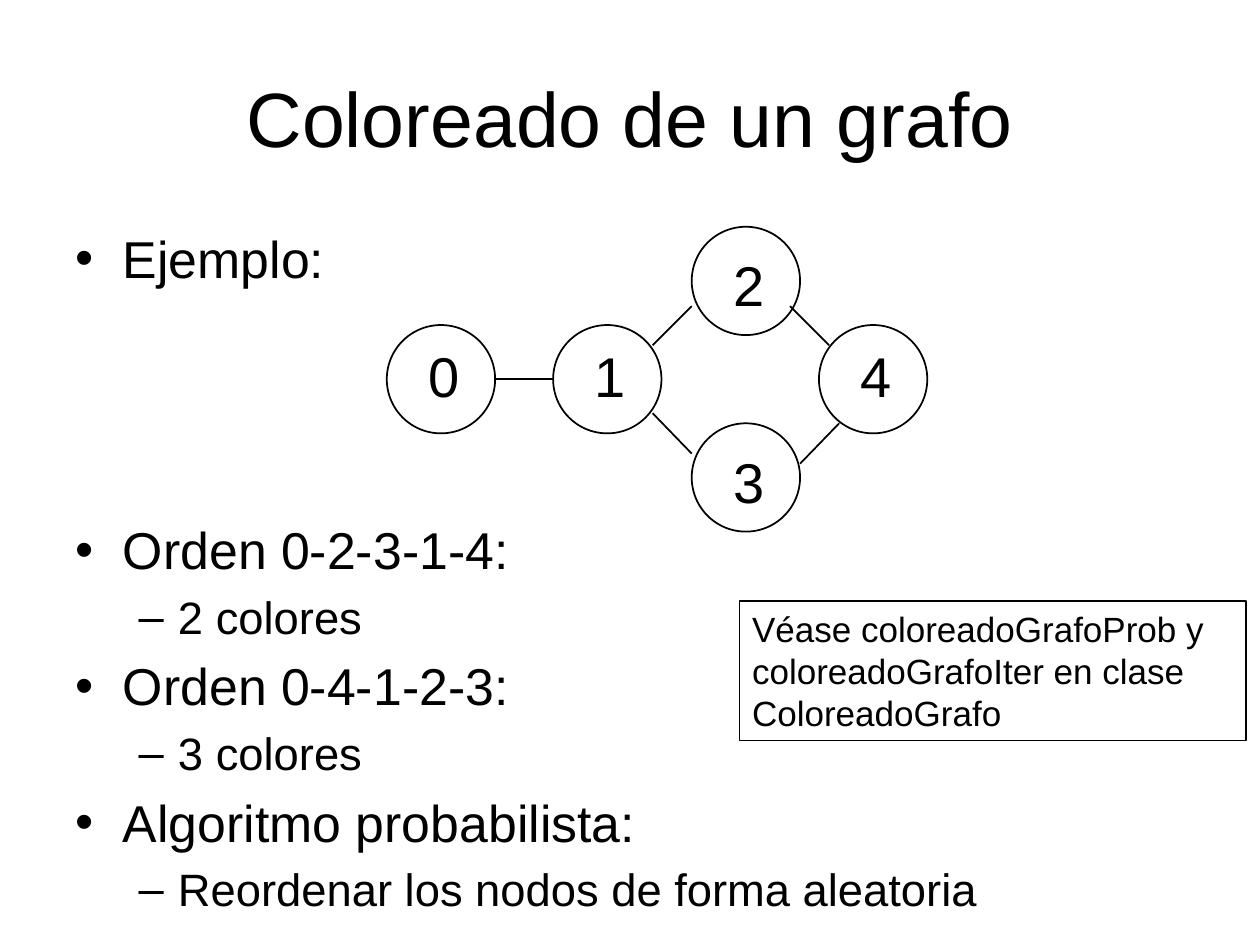
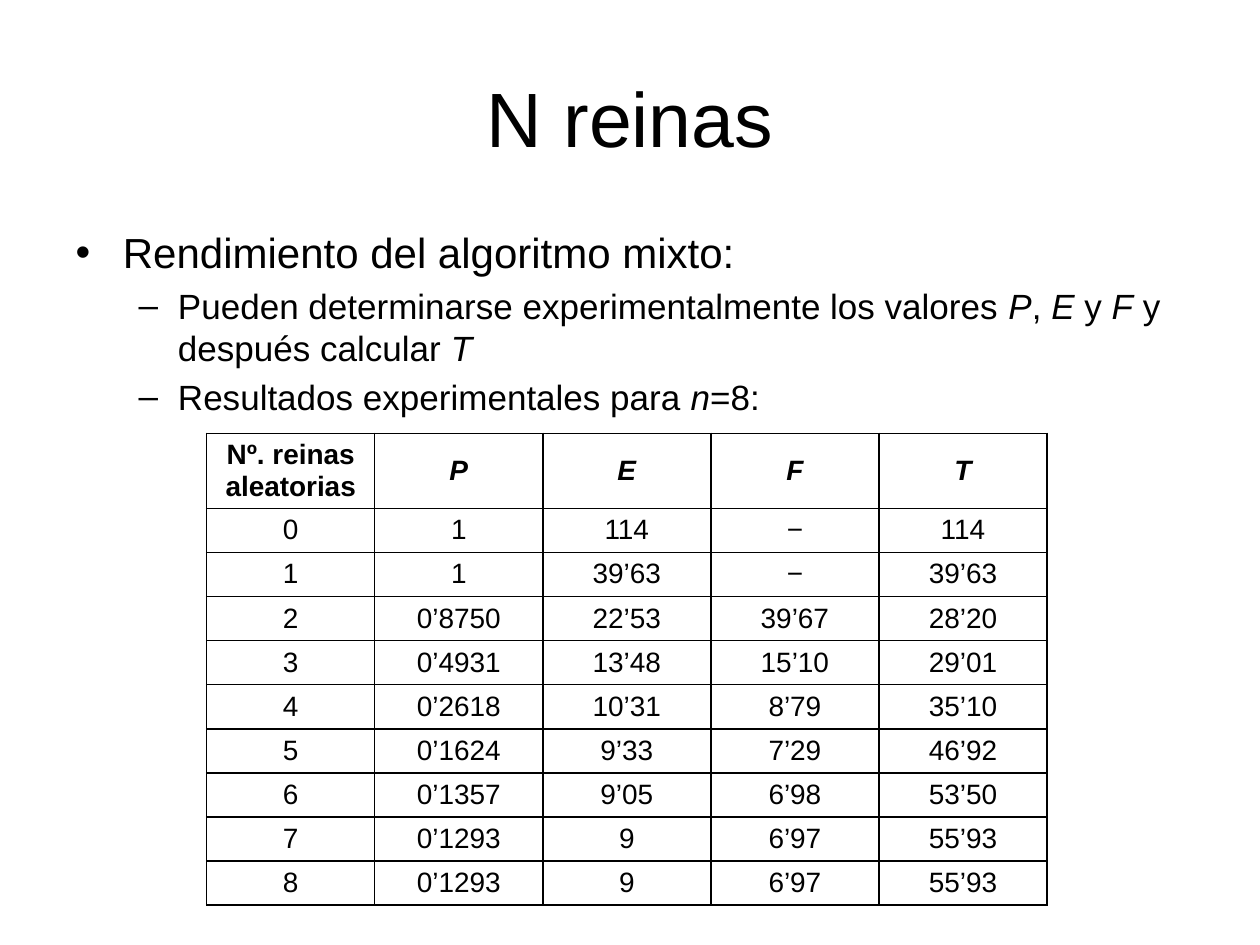
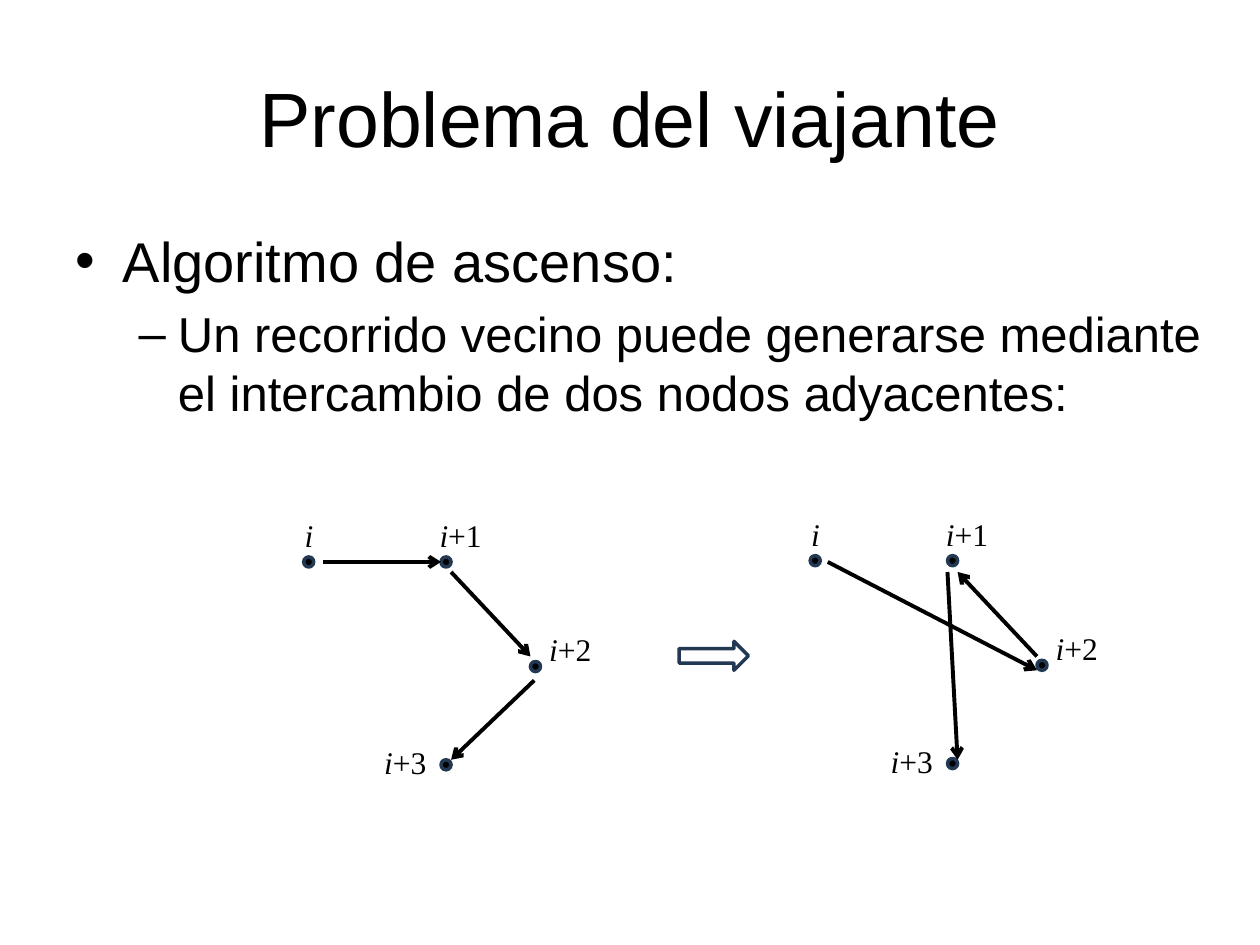
from dataclasses import dataclass

from lxml import etree
from pptx import Presentation
from pptx.dml.color import RGBColor
from pptx.enum import shapes as sh, text as tx
from pptx.oxml import ns
from pptx.util import Inches, Pt


@dataclass(frozen=True)
class Theme:
    ink: str = "000000"
    paper: str = "FFFFFF"
    rim: str = "233953"
    sans: str = "Arial"
    serif: str = "Times New Roman"
    title: float = 44
    node: float = 32
    note: float = 20
    cell: float = 16
    label: float = 18


THEME = Theme()


def rgb(code):
    return RGBColor.from_string(code)


def add_xml(parent, tag, **attrs):
    return etree.SubElement(parent, ns.qn(tag), attrs)


def write(para, text, size, font=THEME.sans, color=THEME.ink, bold=False, align=None):
    """Fill a paragraph; words between asterisks are italic."""
    para.alignment = align
    for i, part in enumerate(text.split("*")):
        if part:
            run = para.add_run()
            run.text = part
            run.font.size, run.font.name = Pt(size), font
            run.font.bold, run.font.italic = bold, i % 2 == 1
            run.font.color.rgb = rgb(color)


class Deck:
    def __init__(self, theme):
        self.theme = theme
        self.prs = Presentation()
        self.prs.slide_width, self.prs.slide_height = Inches(10), Inches(7.5)
        self.slide = None

    def place(self, item, x, y, w, h):
        item.left, item.top = Inches(x), Inches(y)
        item.width, item.height = Inches(w), Inches(h)

    def page(self, title, items, sizes, width=9, height=4.95):
        """Start a slide; items are (level, text, space before or None)."""
        self.slide = self.prs.slides.add_slide(self.prs.slide_layouts[1])
        head, body = self.slide.placeholders
        self.place(head, 0.5, 0.3, 9, 1.25)
        write(head.text_frame.paragraphs[0], title, self.theme.title,
              align=tx.PP_ALIGN.CENTER)
        self.place(body, 0.5, 1.75, width, height)
        frame = body.text_frame
        frame.auto_size = tx.MSO_AUTO_SIZE.NONE
        for i, (level, text, gap) in enumerate(items):
            para = frame.add_paragraph() if i else frame.paragraphs[0]
            para.level = level
            if gap is not None:
                para.space_before = Pt(gap)
            write(para, text, sizes[level])

    def shape(self, kind, x, y, w, h, fill=None, line=THEME.ink, weight=1):
        item = self.slide.shapes.add_shape(
            kind, Inches(x), Inches(y), Inches(w), Inches(h))
        item.shadow.inherit = False
        if fill:
            item.fill.solid()
            item.fill.fore_color.rgb = rgb(fill)
        else:
            item.fill.background()
        item.line.color.rgb, item.line.width = rgb(line), Pt(weight)
        return item

    def label(self, text, x, y, w, h, size, font=THEME.sans):
        box = self.slide.shapes.add_textbox(
            Inches(x), Inches(y), Inches(w), Inches(h))
        box.text_frame.word_wrap = True
        write(box.text_frame.paragraphs[0], text, size, font)

    def note(self, text, x, y, w, h):
        box = self.shape(sh.MSO_SHAPE.RECTANGLE, x, y, w, h, weight=0.75)
        frame = box.text_frame
        frame.word_wrap, frame.vertical_anchor = True, tx.MSO_ANCHOR.TOP
        write(frame.paragraphs[0], text, self.theme.note, align=tx.PP_ALIGN.LEFT)

    def line(self, start, end, weight=1, arrow=False):
        ends = [Inches(v) for v in (*start, *end)]
        item = self.slide.shapes.add_connector(sh.MSO_CONNECTOR.STRAIGHT, *ends)
        item.line.color.rgb, item.line.width = rgb(self.theme.ink), Pt(weight)
        props = item.element.spPr
        if arrow:
            add_xml(props.find(ns.qn("a:ln")), "a:tailEnd", type="arrow")
        add_xml(props, "a:effectLst")

    def table(self, rows, x, y, w, head, step):
        high = head + step * (len(rows) - 1)
        grid = self.slide.shapes.add_table(
            len(rows), len(rows[0]), Inches(x), Inches(y), Inches(w), Inches(high)).table
        grid.first_row = grid.horz_banding = False
        for r, row in enumerate(rows):
            grid.rows[r].height = Inches(step if r else head)
            for c, text in enumerate(row):
                cell = grid.cell(r, c)
                write(cell.text_frame.paragraphs[0], text, self.theme.cell,
                      bold=r == 0, align=tx.PP_ALIGN.CENTER)
                if r == 0 and c:
                    cell.vertical_anchor = tx.MSO_ANCHOR.MIDDLE
                self.border(cell)
                cell.fill.background()

    def border(self, cell):
        props = cell._tc.get_or_add_tcPr()
        for side in "LRTB":
            edge = add_xml(props, f"a:ln{side}", w=str(Pt(1)))
            add_xml(add_xml(edge, "a:solidFill"), "a:srgbClr", val=self.theme.ink)


def graph(deck):
    deck.page("Coloreado de un grafo", [
        (0, "Ejemplo:", 0),
        (0, "Orden 0-2-3-1-4:", 131),
        (1, "2 colores", None),
        (0, "Orden 0-4-1-2-3:", None),
        (1, "3 colores", None),
        (0, "Algoritmo probabilista:", None),
        (1, "Reordenar los nodos de forma aleatoria", None),
    ], (29.6, 25.9))
    # Nodes: name, left, top, drop of the number
    for name, x, y, drop in (("0", 3.07, 2.58, 0.08), ("1", 4.39, 2.58, 0.08),
                             ("2", 5.49, 1.8, 0.14), ("3", 5.49, 3.36, 0.14),
                             ("4", 6.5, 2.58, 0.08)):
        deck.shape(sh.MSO_SHAPE.OVAL, x, y, 0.86, 0.86)
        deck.label(name, x + 0.23, y + drop, 0.7, 0.64, deck.theme.node)
    # Edges
    for start, end in (((3.93, 3.01), (4.39, 3.01)), ((5.18, 3.28), (5.49, 3.6)),
                       ((6.27, 2.43), (6.58, 2.74)), ((5.18, 2.74), (5.49, 2.43)),
                       ((6.35, 3.68), (6.66, 3.36))):
        deck.line(start, end)
    deck.note("Véase coloreadoGrafoProb y coloreadoGrafoIter en clase ColoreadoGrafo",
              5.87, 4.77, 4.02, 1.11)


def queens(deck):
    deck.page("N reinas", [
        (0, "Rendimiento del algoritmo mixto:", 0),
        (1, "Pueden determinarse experimentalmente los valores *P*, *E* y *F* "
            "y después calcular *T*", None),
        (1, "Resultados experimentales para *n*=8:", None),
    ], (24, 20), height=5.75)
    deck.table([
        ("Nº. reinas aleatorias", "*P*", "*E*", "*F*", "*T*"),
        ("0", "1", "114", "−", "114"),
        ("1", "1", "39’63", "−", "39’63"),
        ("2", "0’8750", "22’53", "39’67", "28’20"),
        ("3", "0’4931", "13’48", "15’10", "29’01"),
        ("4", "0’2618", "10’31", "8’79", "35’10"),
        ("5", "0’1624", "9’33", "7’29", "46’92"),
        ("6", "0’1357", "9’05", "6’98", "53’50"),
        ("7", "0’1293", "9", "6’97", "55’93"),
        ("8", "0’1293", "9", "6’97", "55’93"),
    ], 1.64, 3.44, 6.67, head=0.59, step=0.35)


def tour(deck, x, y, arrows):
    """Draw four labelled stops and the arrows between them."""
    for dx, dy in ((0.09, 0.37), (1.18, 0.37), (1.89, 1.2), (1.18, 1.98)):
        deck.shape(sh.MSO_SHAPE.OVAL, x + dx, y + dy, 0.08, 0.08,
                   deck.theme.ink, deck.theme.rim, 2)
    for name, dx, dy in (("*i*", 0, 0), ("*i*+1", 1.07, 0),
                         ("*i*+2", 1.94, 0.9), ("*i*+3", 0.63, 1.8)):
        deck.label(name, x + dx, y + dy, 0.7, 0.4, deck.theme.label, deck.theme.serif)
    for start, end in arrows:
        deck.line(start, end, 2.25, arrow=True)


def sales(deck):
    deck.page("Problema del viajante", [
        (0, "Algoritmo de ascenso:", 0),
        (1, "Un recorrido vecino puede generarse mediante el intercambio "
            "de dos nodos adyacentes:", None),
    ], (32, 28), width=9.15)
    # Tour before and after the swap
    tour(deck, 2.32, 4.05, (((2.56, 4.46), (3.5, 4.46)), ((3.58, 4.54), (4.21, 5.21)),
                            ((4.24, 5.4), (3.58, 6.03))))
    tour(deck, 6.34, 4.04, (((6.57, 4.46), (8.23, 5.32)), ((8.23, 5.21), (7.6, 4.54)),
                            ((7.52, 4.54), (7.6, 6.03))))
    deck.shape(sh.MSO_SHAPE.RIGHT_ARROW, 5.39, 5.09, 0.55, 0.23,
               deck.theme.paper, deck.theme.rim, 2)


def main():
    deck = Deck(THEME)
    graph(deck)
    queens(deck)
    sales(deck)
    deck.prs.save("out.pptx")


if __name__ == "__main__":
    main()
